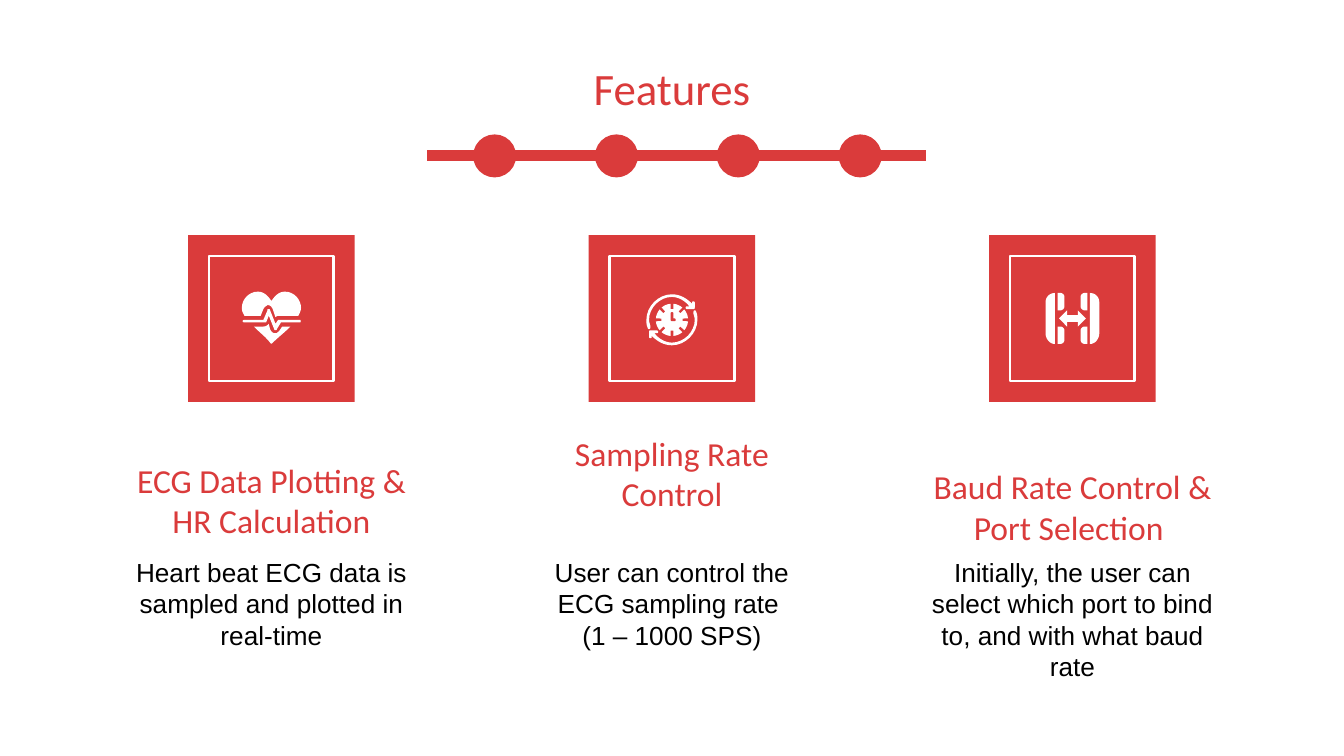
import math
import pptx
import pptx.util
import pptx.dml.color
import pptx.enum.shapes
import pptx.enum.text
import pptx.oxml

Inches, Pt = pptx.util.Inches, pptx.util.Pt
SHAPE = pptx.enum.shapes.MSO_SHAPE
ANCHOR = pptx.enum.text.MSO_ANCHOR

# Content: heading, its top, text, text height
TITLE = "Features"
CARDS = [
    ("ECG Data Plotting & HR Calculation", 3.44,
     "Heart beat ECG data is sampled and plotted in real-time", 0.87),
    ("Sampling Rate Control", 3.24,
     "User can control the ECG sampling rate \n(1 – 1000 SPS)", 0.87),
    ("Baud Rate Control & Port Selection ", 3.49,
     "Initially, the user can select which port to bind to, and with what baud rate", 1.14),
]

# Icon outlines, in hundredths of an inch from the icon centre
HEART = [
    "M -10 -20 C -17 -20 -22 -14 -22 -8 C -22 -5 -21 -4 -20 -2 L -8 -2 L -6 -7 "
    "C -5 -9 -4 -9 -3 -10 C -1 -10 0 -9 1 -7 L 3 -1 C 4 -2 5 -2 6 -2 L 20 -2 "
    "C 21 -4 22 -6 22 -8 C 22 -14 17 -20 10 -20 C 5 -20 2 -16 0 -13 C -2 -16 -5 -20 -10 -20",
    "M -2 -7 C -3 -7 -3 -7 -3 -6 L -6 1 L -20 1 C -22 1 -22 3 -20 3 L -5 3 L -4 3 L -2 -2 "
    "L 2 8 C 2 9 4 9 4 8 L 7 3 L 21 3 C 22 3 22 1 21 1 L 6 1 L 5 1 L 3 4 L -1 -6 "
    "C -1 -7 -2 -7 -2 -7",
    "M -2 4 C -3 5 -4 6 -6 6 L -13 6 C -13 6 -12 7 -11 8 C -8 11 -4 14 -1 18 "
    "C 0 19 0 19 1 18 C 5 14 9 11 12 8 C 13 7 14 6 14 6 L 8 6 L 6 9 C 5 10 4 11 3 11 "
    "C 1 11 0 10 -1 8 L -2 4",
]
SWEEP = ("M 17 -7 C 16 -7 16 -6 16 -5 C 16 -4 17 -2 17 0 C 17 9 9 17 0 17 "
         "C -5 17 -10 14 -13 10 L -11 10 C -10 10 -10 8 -11 8 L -16 8 C -17 8 -17 8 -17 9 "
         "L -17 13 C -17 14 -15 14 -15 13 L -15 12 C -11 16 -6 19 0 19 C 10 19 19 10 19 0 "
         "C 19 -2 19 -4 18 -6 C 18 -6 18 -7 17 -7")
HANDS = "M -1 -5 C -1 -6 1 -6 1 -5 L 1 -1 L 2 -1 C 3 -1 3 1 2 1 L 0 1 C -1 1 -1 0 -1 0 L -1 -5"
SIDE = "M -13 -19 C -17 -19 -20 -16 -20 -12 L -20 11 C -20 15 -17 19 -13 19 L -13 -19"
BLOCK = ("M -11 -19 L -11 -6 L -9 -6 C -8 -6 -6 -7 -6 -9 L -6 -16 "
         "C -6 -18 -8 -19 -9 -19 L -11 -19")

THEME = {
    "red": "DA3B3B", "white": "FFFFFF", "black": "000000",
    "title": ("Calibri", 24, "red"),
    "head": ("Calibri", 18, "red"),
    "body": ("Arial", 14, "black"),
}

# A 16:9 page
deck = pptx.Presentation()
deck.slide_width = Inches(10)
deck.slide_height = Inches(10 * 9 / 16)
slide = deck.slides.add_slide(deck.slide_layouts[5])
shapes = slide.shapes


def color(name):
    return pptx.dml.color.RGBColor.from_string(THEME[name])


def write(box, area, text, style, anchor=ANCHOR.TOP):
    box.left, box.top, box.width, box.height = [Inches(v) for v in area]
    frame = box.text_frame
    frame.text = text
    frame.word_wrap = True
    frame.auto_size = pptx.enum.text.MSO_AUTO_SIZE.NONE
    frame.vertical_anchor = anchor
    frame.margin_left = frame.margin_right = Inches(0.1)
    frame.margin_top = frame.margin_bottom = Inches(0.1)
    face, size, tone = THEME[style]
    for para in frame.paragraphs:
        para.alignment = pptx.enum.text.PP_ALIGN.CENTER
        for run in para.runs:
            run.font.name, run.font.size = face, Pt(size)
            run.font.color.rgb = color(tone)


def paint(shape, fill=None, line=None):
    shape.shadow.inherit = False
    if fill:
        shape.fill.solid()
        shape.fill.fore_color.rgb = color(fill)
    else:
        shape.fill.background()
    if line:
        shape.line.color.rgb = color(line)
        shape.line.width = Pt(1.5)
    else:
        shape.line.fill.background()
    return shape


def form(kind, x, y, wide, high, fill=None, line=None):
    """Add a preset shape centred on x, y."""
    area = (x - wide / 2, y - high / 2, wide, high)
    return paint(shapes.add_shape(kind, *[Inches(v) for v in area]), fill, line)


def rule(x1, y1, x2, y2, width):
    line = shapes.add_connector(pptx.enum.shapes.MSO_CONNECTOR.STRAIGHT,
                                *[Inches(v) for v in (x1, y1, x2, y2)])
    line.line.color.rgb = color("red")
    line.line.width = Pt(width)
    props = line._element.spPr
    props.append(pptx.oxml.parse_xml(
        '<a:effectLst xmlns:a="http://schemas.openxmlformats.org/drawingml/2006/main"/>'))


def trace(text):
    """Turn M, L and C steps into points, with curves cut into short lines."""
    dots = []
    for step in text.replace("M", "L").replace("L", "|L").replace("C", "|C").split("|")[1:]:
        nums = [float(n) for n in step[1:].split()]
        ends = list(zip(nums[::2], nums[1::2]))
        if step[0] == "L":
            dots += ends
            continue
        knots = [dots[-1]] + ends
        for i in range(1, 9):
            t = i / 8
            parts = [math.comb(3, k) * t ** k * (1 - t) ** (3 - k) for k in range(4)]
            dots.append(tuple(sum(w * p[axis] for w, p in zip(parts, knots))
                              for axis in (0, 1)))
    return dots


def dial():
    """Points of a disc with eight notches in its rim."""
    dots = []
    for i in range(8):
        for far, deg in ((8, -7), (8, 7), (12, 5), (12, 14), (12, 22), (12, 31), (12, 40)):
            turn = math.radians(45 * i + deg)
            dots.append((far * math.cos(turn), far * math.sin(turn)))
    return dots


def draw(dots, x, y, flip=1, turn=1, fill="white"):
    dots = [(Inches(x + flip * a / 100), Inches(y + turn * b / 100)) for a, b in dots]
    pen = shapes.build_freeform(*dots[0])
    pen.add_line_segments(dots[1:], close=True)
    paint(pen.convert_to_shape(), fill)


def heart(x, y):
    for text in HEART:
        draw(trace(text), x, y)


def clock(x, y):
    y += 0.01
    for side in (1, -1):
        draw(trace(SWEEP), x, y, side, side)
    draw(dial(), x, y)
    draw(trace(HANDS), x, y, fill="red")


def port(x, y):
    for flip in (1, -1):
        draw(trace(SIDE), x, y, flip)
        for turn in (1, -1):
            draw(trace(BLOCK), x, y, flip, turn)
    arrow = form(SHAPE.LEFT_RIGHT_ARROW, x, y, 0.2, 0.12, "white")
    arrow.adjustments[0], arrow.adjustments[1] = 0.42, 0.5


# Title and beaded line
write(shapes.title, (1.17, 0.35, 7.66, 0.63), TITLE, "title")
rule(3.18, 1.16, 6.89, 1.16, 6)
for i in range(4):
    form(SHAPE.OVAL, 3.68 + i * 2.72 / 3, 1.16, 0.32, 0.32, "red")

# Three cards: icon tile, heading, text
for i, (card, icon) in enumerate(zip(CARDS, (heart, clock, port))):
    head, top, body, high = card
    x, y = 5 + (i - 1) * 2.98, 2.37
    form(SHAPE.RECTANGLE, x, y, 1.24, 1.24, "red")
    form(SHAPE.RECTANGLE, x, y, 0.93, 0.93, line="white")
    icon(x, y)
    left = x - 2.31 / 2
    write(shapes.add_textbox(0, 0, 0, 0), (left, top, 2.31, 0.68), head, "head", ANCHOR.BOTTOM)
    write(shapes.add_textbox(0, 0, 0, 0), (left, 4.04, 2.31, high), body, "body")

deck.save("out.pptx")
